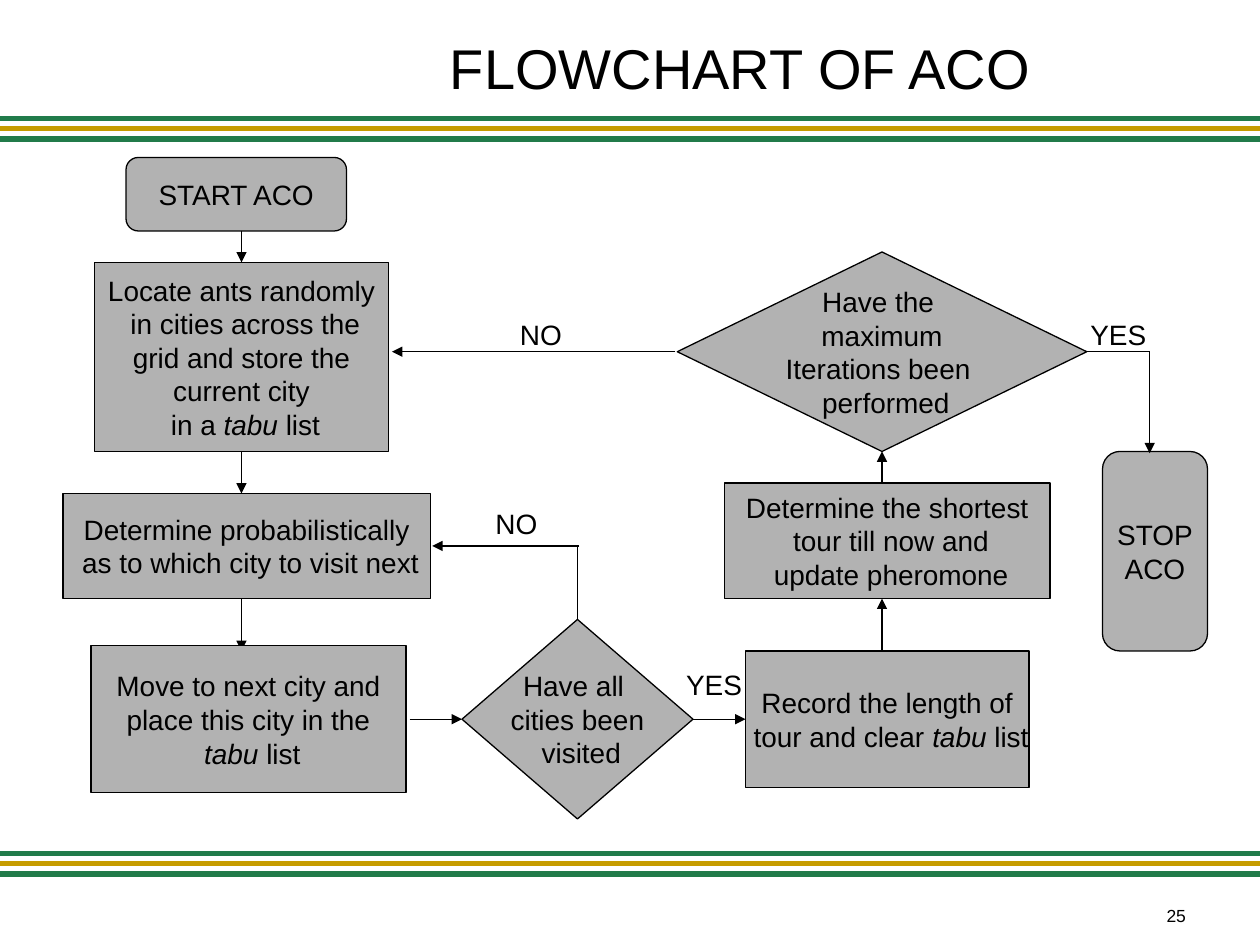
from dataclasses import dataclass
from lxml.etree import SubElement
from pptx import Presentation
from pptx.dml.color import RGBColor
from pptx.enum.shapes import MSO_CONNECTOR, MSO_SHAPE
from pptx.enum.text import MSO_ANCHOR, PP_ALIGN
from pptx.oxml.ns import qn
from pptx.util import Pt


@dataclass(frozen=True)
class Theme:
    font: str = "Arial"
    ink: str = "000000"
    fill: str = "B2B2B2"
    green: str = "217B4A"
    gold: str = "C69C00"
    head: int = 32
    body: int = 16
    small: int = 10
    thin: float = 0.75
    thick: float = 3


class Chart:
    def __init__(self, slide, theme):
        self.slide = slide
        self.theme = theme

    def text(self, frame, words, size, align=PP_ALIGN.LEFT):
        frame.margin_left = frame.margin_right = Pt(7.2)
        frame.margin_top = frame.margin_bottom = Pt(3.6)
        for row, line in enumerate(words.split("\n")):
            para = frame.add_paragraph() if row else frame.paragraphs[0]
            para.alignment = align
            for part, piece in enumerate(line.split("*")):
                if piece:
                    run = para.add_run()
                    run.text = piece
                    run.font.name = self.theme.font
                    run.font.size = Pt(size)
                    run.font.italic = part % 2 == 1
                    run.font.color.rgb = RGBColor.from_string(self.theme.ink)

    def title(self, words, x, y, w, h):
        shape = self.slide.shapes.title
        shape.left, shape.top, shape.width, shape.height = map(Pt, (x, y, w, h))
        frame = shape.text_frame
        self.text(frame, words, self.theme.head, PP_ALIGN.CENTER)
        frame.vertical_anchor = MSO_ANCHOR.TOP
        frame.margin_top = Pt(7)

    def box(self, kind, words, x, y, w, h):
        shape = self.slide.shapes.add_shape(kind, *map(Pt, (x, y, w, h)))
        shape.shadow.inherit = False
        shape.fill.solid()
        shape.fill.fore_color.rgb = RGBColor.from_string(self.theme.fill)
        shape.line.color.rgb = RGBColor.from_string(self.theme.ink)
        shape.line.width = Pt(self.theme.thin)
        frame = shape.text_frame
        frame.word_wrap = False
        frame.vertical_anchor = MSO_ANCHOR.MIDDLE
        self.text(frame, words, self.theme.body, PP_ALIGN.CENTER)

    def label(self, words, x, y, w=48, h=26.5, size=None):
        shape = self.slide.shapes.add_textbox(*map(Pt, (x, y, w, h)))
        shape.text_frame.word_wrap = True
        self.text(shape.text_frame, words, size or self.theme.body)

    def line(self, x1, y1, x2, y2, color=None, width=None):
        link = self.slide.shapes.add_connector(
            MSO_CONNECTOR.STRAIGHT, *map(Pt, (x1, y1, x2, y2)))
        link.line.color.rgb = RGBColor.from_string(color or self.theme.ink)
        link.line.width = Pt(width or self.theme.thin)
        SubElement(link.element.spPr, qn("a:effectLst"))
        return link

    def arrow(self, *ends):
        link = self.line(*ends)
        SubElement(link.element.spPr.get_or_add_ln(), qn("a:tailEnd"), type="triangle")

    def bands(self, top, gap):
        theme = self.theme
        for row, color in enumerate((theme.green, theme.gold, theme.green)):
            y = top + row * gap
            self.line(0, y, 720, y, color, theme.thick)


def main():
    deck = Presentation()
    deck.slide_width, deck.slide_height = Pt(720), Pt(540)
    theme = Theme()
    chart = Chart(deck.slides.add_slide(deck.slide_layouts[5]), theme)
    step = MSO_SHAPE.FLOWCHART_PROCESS
    test = MSO_SHAPE.FLOWCHART_DECISION
    cap = MSO_SHAPE.FLOWCHART_ALTERNATE_PROCESS
    left, mid, right, end = 138, 330, 504, 657
    upper, lower, back = 201, 411, 312

    chart.bands(67.6, 5.9)
    chart.bands(487.6, 5.9)
    chart.label("25", 659.5, 513.5, 60, 19.5, theme.small)
    chart.title("FLOWCHART OF ACO", 144, 12, 558, 60)

    chart.box(test, "Have all \n cities been \n visited", 264, 354, 132, 114)
    chart.box(test, "Have the \nmaximum\nIterations been \n performed",
              387, 144, 234, 114)

    chart.box(cap, "START ACO", 72, 90, 126, 42)
    chart.arrow(left, 132, left, 150)
    chart.box(step, "Locate ants randomly\n in cities across the\n grid and store the \n"
              " current city \n in a *tabu* list", 54, 150, 168, 108)
    chart.arrow(left, 258, left, 282)
    chart.box(step, "Determine probabilistically\n as to which city to visit next",
              36, 282, 210, 60)
    chart.arrow(left, 342, left, 372)
    chart.box(step, "Move to next city and\n place this city in the \n *tabu *list",
              52, 369, 180, 84)
    chart.arrow(234, lower, 264, lower)

    chart.box(step, "Record the length of\n tour and clear *tabu* list",
              426, 372, 162, 78)
    chart.arrow(right, 372, right, 342)
    chart.box(step, "Determine the shortest\n tour till now and\n update pheromone",
              414, 276, 186, 66)
    chart.arrow(right, 276, right, 258)

    chart.line(mid, 354, mid, back)
    chart.arrow(331, back, 247, back)
    chart.label("NO", 276, 286)
    chart.arrow(396, lower, 426, lower)
    chart.label("YES", 385, 378)

    chart.box(cap, "STOP\nACO", 630, 258, 60, 114)
    chart.line(621, upper, end, upper)
    chart.arrow(end, upper, end, 259)
    chart.label("YES", 616, 178)
    chart.arrow(386, upper, 224, upper)
    chart.label("NO", 290, 178)
    deck.save("out.pptx")


if __name__ == "__main__":
    main()
